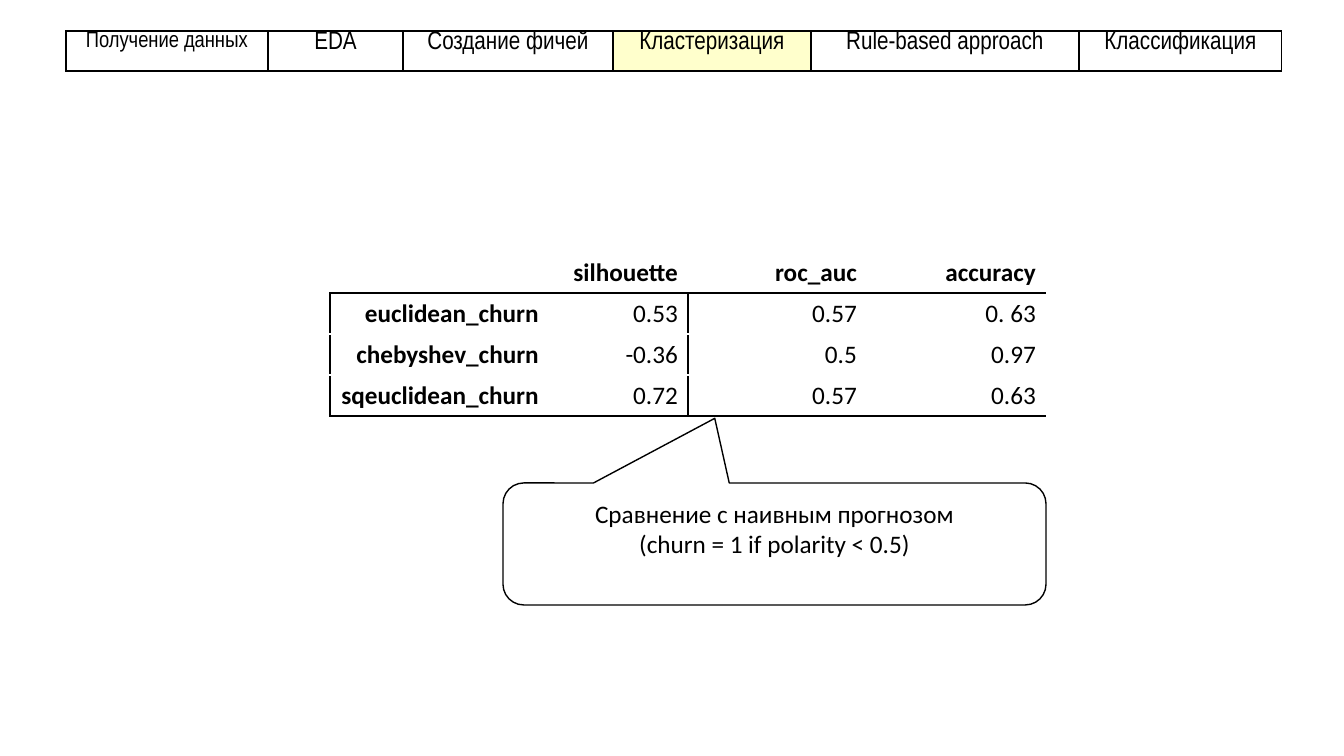
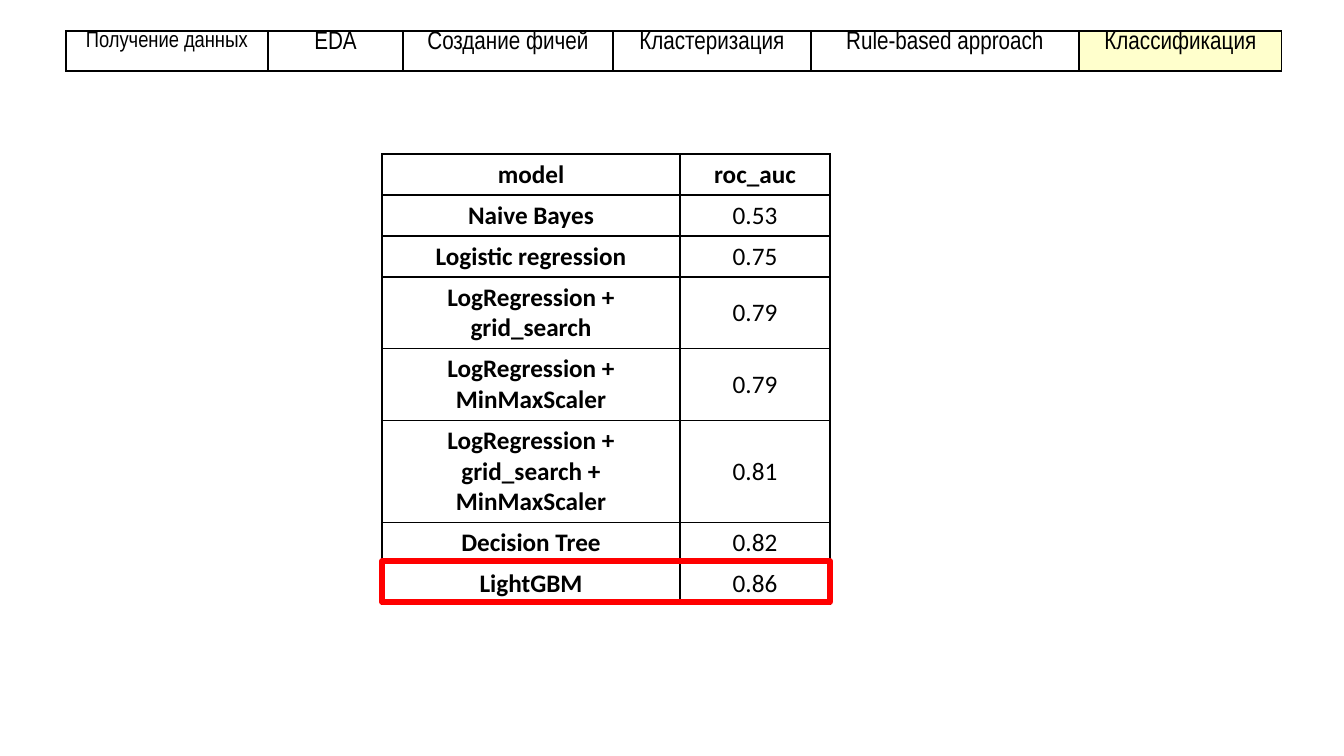
import lxml.etree
import pptx
import pptx.dml.color
import pptx.enum.shapes
import pptx.enum.text
import pptx.oxml.ns
import pptx.util

EMU_PER_PX = 914400 / 100.8
COLORS = {"text": "000000", "paper": "FFFFFF", "line": "000000", "current": "FFFFCC", "accent": "FF0000"}
BODY_FONT = "Calibri"
STAGE_FONT = "Arial Narrow"
STAGES = ["Получение данных", "EDA", "Создание фичей", "Кластеризация", "Rule-based approach", "Классификация"]
STAGE_WIDTHS = [202, 135, 210, 198, 268, 203]
ROW_HEIGHT = 41
EXTRA_LINE_HEIGHT = 30
CENTER = pptx.enum.text.PP_ALIGN.CENTER
RIGHT = pptx.enum.text.PP_ALIGN.RIGHT
TOP = pptx.enum.text.MSO_ANCHOR.TOP
MIDDLE = pptx.enum.text.MSO_ANCHOR.MIDDLE
ALL_LINES = dict.fromkeys("LRTB", "line")


def px(length):
    """Turn pixels into EMU."""
    return pptx.util.Emu(round(length * EMU_PER_PX))


def rgb(color):
    """Return the named colour."""
    return pptx.dml.color.RGBColor.from_string(COLORS[color])


def format_text(text_frame, align, size=18, font=BODY_FONT, bold=False):
    """Format every paragraph and run of a text frame."""
    for paragraph in text_frame.paragraphs:
        paragraph.alignment = align
        for run in paragraph.runs:
            run.font.size = pptx.util.Pt(size)
            run.font.name = font
            run.font.bold = bold
            run.font.color.rgb = rgb("text")


def add_grid(slide, left, top, widths, heights):
    """Add a plain table with the given column widths and row heights."""
    frame = slide.shapes.add_table(
        len(heights), len(widths), px(left), px(top), px(sum(widths)), px(sum(heights)))
    table = frame.table
    table.first_row = table.horz_banding = False
    for column, width in zip(table.columns, widths):
        column.width = px(width)
    for row, height in zip(table.rows, heights):
        row.height = px(height)
    return table


def fill_cell(cell, text, align, borders, fill="paper", anchor=MIDDLE, **font_options):
    """Set the text, borders and fill of a cell."""
    cell.text_frame.text = text
    cell.vertical_anchor = anchor
    format_text(cell.text_frame, align, **font_options)
    properties = cell._tc.get_or_add_tcPr()
    qualified = pptx.oxml.ns.qn
    for side in "LRTB":
        line = lxml.etree.SubElement(properties, qualified(f"a:ln{side}"), w=str(pptx.util.Pt(1)))
        solid = lxml.etree.SubElement(line, qualified("a:solidFill"))
        lxml.etree.SubElement(solid, qualified("a:srgbClr"), val=COLORS[borders[side]])
    cell.fill.solid()
    cell.fill.fore_color.rgb = rgb(fill)


def add_outlined_shape(slide, kind, box, line, width, fill=None):
    """Add a preset shape without shadow."""
    shape = slide.shapes.add_shape(kind, *map(px, box))
    shape.shadow.inherit = False
    shape.line.color.rgb = rgb(line)
    shape.line.width = pptx.util.Pt(width)
    if fill:
        shape.fill.solid()
        shape.fill.fore_color.rgb = rgb(fill)
    else:
        shape.fill.background()
    return shape


def add_stage_slide(presentation, current):
    """Add a blank slide with the stage bar on top."""
    slide = presentation.slides.add_slide(presentation.slide_layouts[6])
    table = add_grid(slide, 66, 31, STAGE_WIDTHS, [40])
    for index, stage in enumerate(STAGES):
        cell = table.cell(0, index)
        cell.margin_left = cell.margin_right = cell.margin_top = cell.margin_bottom = 0
        fill_cell(cell, stage, CENTER, ALL_LINES, fill="current" if stage == current else "paper",
                  anchor=TOP, size=18 if index else 16, font=STAGE_FONT)
    return slide


def add_metrics_table(slide):
    """Add the clustering metrics with partial rules."""
    rows = [
        ["", "silhouette", "roc_auc", "accuracy"],
        ["euclidean_churn", "0.53", "0.57", "0. 63"],
        ["chebyshev_churn", "-0.36", "0.5", "0.97"],
        ["sqeuclidean_churn", "0.72", "0.57", "0.63"],
    ]
    table = add_grid(slide, 330, 252, [219, 139, 179, 179], [ROW_HEIGHT] * len(rows))
    for row, texts in enumerate(rows):
        for column, text in enumerate(texts):
            ruled = {
                "L": row > 0 and column in (0, 2),
                "R": row > 0 and column == 1,
                "T": row == 1,
                "B": row in (0, len(rows) - 1),
            }
            borders = {side: "line" if shown else "paper" for side, shown in ruled.items()}
            fill_cell(table.cell(row, column), text, RIGHT, borders, bold=row == 0 or column == 0)


def add_callout(slide):
    """Add the callout that points at the metrics."""
    callout = add_outlined_shape(
        slide, pptx.enum.shapes.MSO_SHAPE.ROUNDED_RECTANGULAR_CALLOUT,
        (503, 483, 543, 122), "line", 1, "paper")
    for index, value in enumerate((-0.11, -1.03, 0.17)):
        callout.adjustments[index] = value
    text_frame = callout.text_frame
    text_frame.text = "Сравнение с наивным прогнозом\n(churn = 1 if polarity < 0.5)"
    text_frame.word_wrap = True
    text_frame.vertical_anchor = MIDDLE
    text_frame.margin_bottom = px(36)
    format_text(text_frame, CENTER)


def add_models_table(slide):
    """Add the model scores and frame the best one."""
    rows = [
        ("model", "roc_auc", 1),
        ("Naive Bayes", "0.53", 1),
        ("Logistic regression", "0.75", 1),
        ("LogRegression + grid_search", "0.79", 2),
        ("LogRegression + MinMaxScaler", "0.79", 2),
        ("LogRegression + grid_search + MinMaxScaler", "0.81", 3),
        ("Decision Tree", "0.82", 1),
        ("LightGBM", "0.86", 1),
    ]
    left, top, widths = 382, 154, [298, 150]
    heights = [ROW_HEIGHT + EXTRA_LINE_HEIGHT * (lines - 1) for _, _, lines in rows]
    table = add_grid(slide, left, top, widths, heights)
    for row, (model, score, _) in enumerate(rows):
        for column, text in enumerate((model, score)):
            fill_cell(table.cell(row, column), text, CENTER, ALL_LINES, bold=row == 0 or column == 0)
    best_box = (left, top + sum(heights[:-1]), sum(widths), heights[-1])
    add_outlined_shape(slide, pptx.enum.shapes.MSO_SHAPE.RECTANGLE, best_box, "accent", 3.75)


def main():
    """Build and save the presentation."""
    presentation = pptx.Presentation()
    presentation.slide_width = px(1344)
    presentation.slide_height = px(756)
    clustering = add_stage_slide(presentation, "Кластеризация")
    add_metrics_table(clustering)
    add_callout(clustering)
    add_models_table(add_stage_slide(presentation, "Классификация"))
    presentation.save("out.pptx")


if __name__ == "__main__":
    main()
